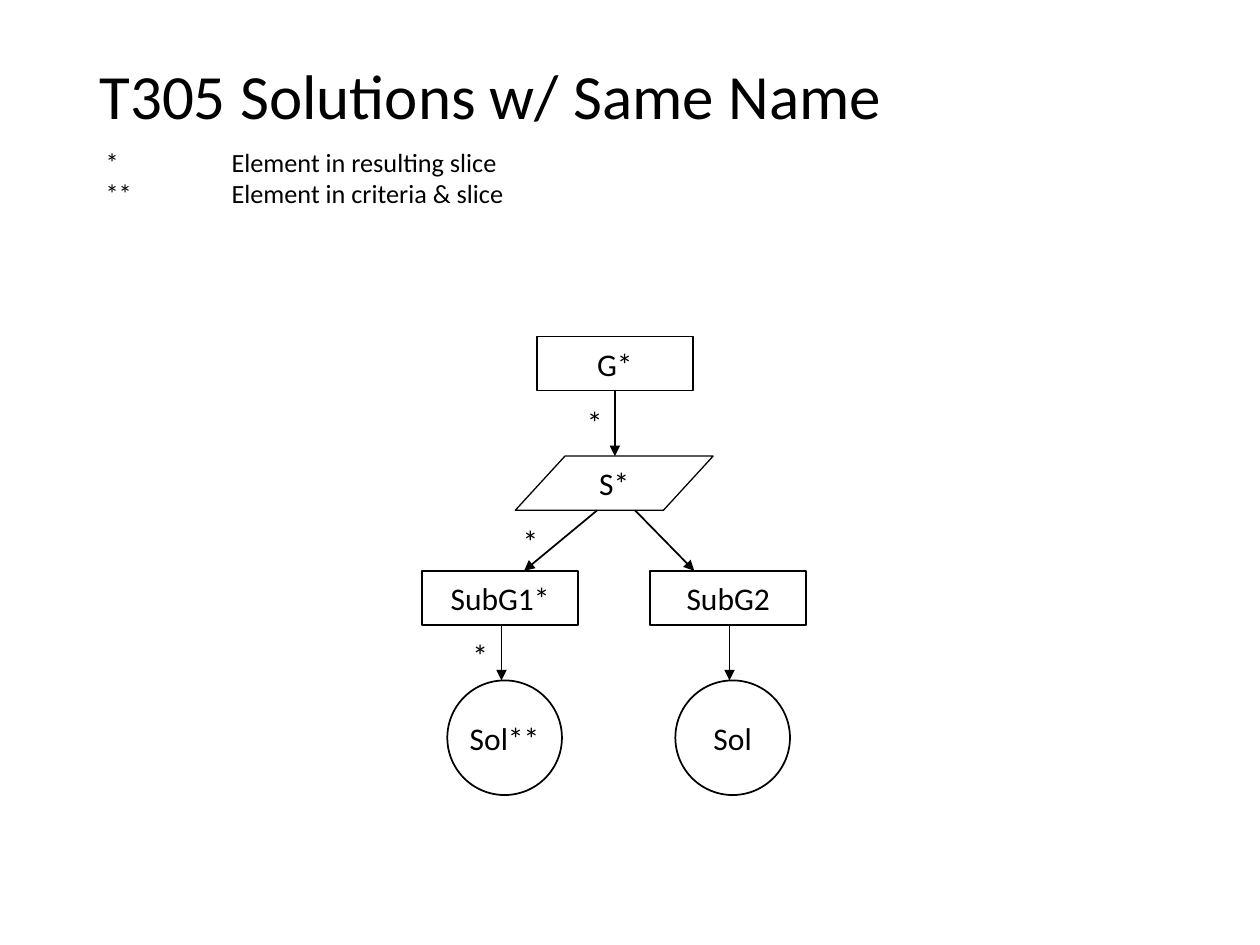
from lxml import etree
from pptx import Presentation
from pptx import util as u
from pptx.dml.color import RGBColor
from pptx.enum import shapes, text
from pptx.oxml import ns

BLACK = RGBColor(0x00, 0x00, 0x00)
WHITE = RGBColor(0xFF, 0xFF, 0xFF)
SHAPE = shapes.MSO_SHAPE
ALIGN = text.PP_ALIGN
ANCHOR = text.MSO_ANCHOR


class GoalDiagram:
    """Holds the text style and the slide that is being drawn."""

    font = "Calibri"
    node_size = 18

    def __init__(self, slide):
        self.slide = slide

    def add_text(self, shape, lines, size, align=ALIGN.LEFT, anchor=ANCHOR.TOP, wrap=True):
        frame = shape.text_frame
        frame.word_wrap = wrap
        frame.auto_size = text.MSO_AUTO_SIZE.NONE
        frame.vertical_anchor = anchor
        for index, line in enumerate(lines):
            paragraph = frame.paragraphs[0] if index == 0 else frame.add_paragraph()
            paragraph.alignment = align
            run = paragraph.add_run()
            run.text = line
            run.font.name = self.font
            run.font.size = u.Pt(size)
            run.font.color.rgb = BLACK
        return frame

    def title(self, box, words):
        shape = self.slide.shapes.title
        shape.left, shape.top, shape.width, shape.height = map(u.Inches, box)
        frame = self.add_text(shape, [words], 36, anchor=ANCHOR.MIDDLE)
        frame.paragraphs[0].line_spacing = 0.9

    def label(self, box, lines, size):
        shape = self.slide.shapes.add_textbox(*map(u.Inches, box))
        return self.add_text(shape, lines, size)

    def legend(self, box, entries, tab):
        lines = [f"{mark}\t{meaning}" for mark, meaning in entries]
        for paragraph in self.label(box, lines, 15).paragraphs:
            properties = paragraph._p.get_or_add_pPr()
            stops = etree.SubElement(properties, ns.qn("a:tabLst"))
            etree.SubElement(stops, ns.qn("a:tab"), pos=str(u.Inches(tab)), algn="l")

    def node(self, kind, box, name, line_width, wrap=False):
        shape = self.slide.shapes.add_shape(kind, *map(u.Inches, box))
        shape.shadow.inherit = False
        shape.fill.solid()
        shape.fill.fore_color.rgb = WHITE
        shape.line.color.rgb = BLACK
        shape.line.width = u.Pt(line_width)
        self.add_text(shape, [name], self.node_size, ALIGN.CENTER, ANCHOR.MIDDLE, wrap)
        return shape

    def goal(self, left, top, name):
        self.node(SHAPE.RECTANGLE, (left, top, 1.24, 0.43), name, 0.94, wrap=True)

    def strategy(self, left, top, name):
        shape = self.node(SHAPE.PARALLELOGRAM, (left, top, 1.57, 0.43), name, 0.75)
        shape.adjustments[0] = 0.917

    def solution(self, left, top, name):
        self.node(SHAPE.OVAL, (left, top, 0.91, 0.91), name, 1)

    def arrow(self, start, end):
        connector = self.slide.shapes.add_connector(
            shapes.MSO_CONNECTOR.STRAIGHT, *map(u.Inches, start + end))
        connector.line.color.rgb = BLACK
        connector.line.width = u.Pt(1)
        properties = connector._element.spPr
        line = properties.find(ns.qn("a:ln"))
        etree.SubElement(line, ns.qn("a:tailEnd"), type="triangle")
        etree.SubElement(properties, ns.qn("a:effectLst"))

    def mark(self, left, top):
        self.label((left, top, 0.32, 0.4), ["*"], self.node_size)


def main():
    presentation = Presentation()
    presentation.slide_width = u.Inches(10)
    presentation.slide_height = u.Inches(7.5)
    title_only = presentation.slide_layouts[5]
    diagram = GoalDiagram(presentation.slides.add_slide(title_only))

    # Heading and legend
    diagram.title((0.69, 0.4, 8.63, 0.78), "T305 Solutions w/ Same Name")
    diagram.legend((0.74, 1.11, 4.14, 0.62),
                   [("*", "Element in resulting slice"),
                    ("**", "Element in criteria & slice")], tab=1)

    # Top goal and its strategy
    diagram.goal(4.26, 2.67, "G*")
    diagram.arrow((4.88, 3.1), (4.88, 3.62))
    diagram.strategy(4.09, 3.62, "S*")

    # Two branches: strategy to subgoal to solution
    branches = [(3.35, "SubG1*", "Sol**", 4.74, 4.16),
                (5.16, "SubG2", "Sol", 5.04, 5.51)]
    for left, goal, solution, start, end in branches:
        diagram.arrow((start, 4.05), (end, 4.53))
        diagram.goal(left, 4.53, goal)
        diagram.arrow((left + 0.63, 4.96), (left + 0.63, 5.4))
        diagram.solution(left + 0.2, 5.4, solution)

    # Marks on the links that belong to the slice
    for left, top in [(4.56, 3.15), (4.05, 4.09), (3.65, 5)]:
        diagram.mark(left, top)

    presentation.save("out.pptx")


if __name__ == "__main__":
    main()
